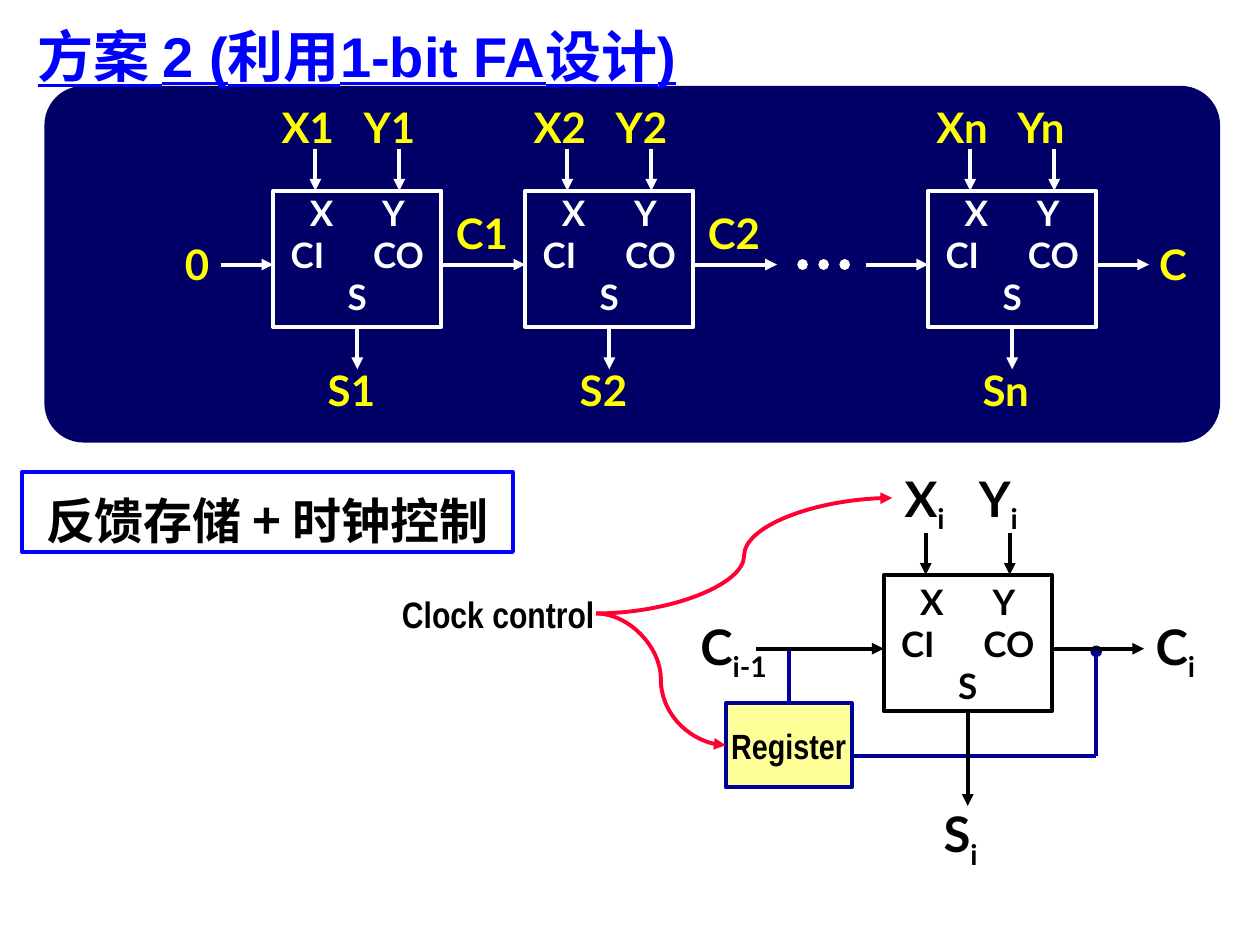
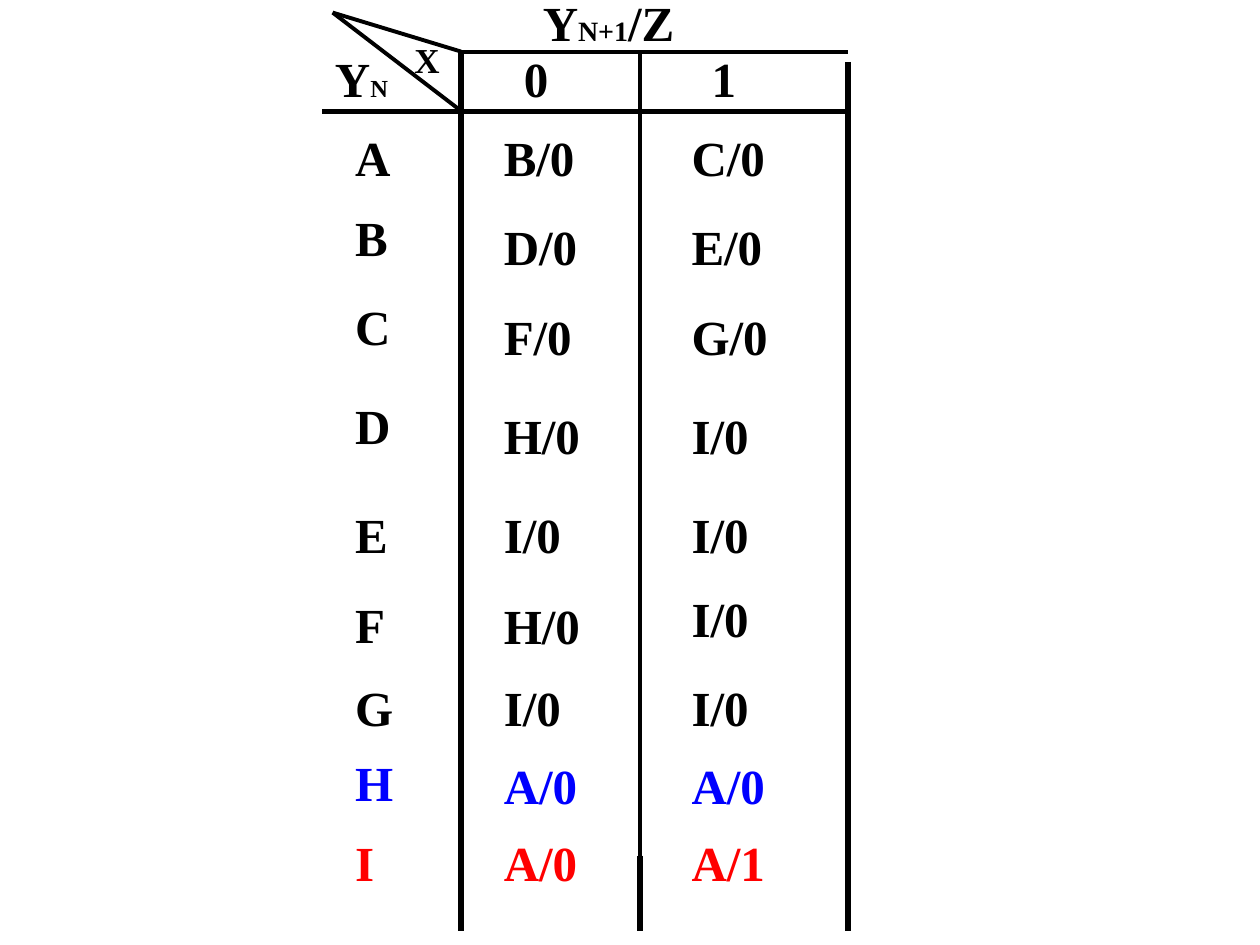
"""Builds two slides: an iterative adder circuit and its state table."""
from lxml import etree
from pptx import Presentation
from pptx.dml import color
from pptx.enum import dml, shapes, text as tx
from pptx.oxml import ns
from pptx.util import Pt

BLACK, WHITE, YELLOW, BLUE, RED = "000000", "FFFFFF", "FFFF00", "0000FF", "FF0000"
NAVY, WIRE, CLOCK, PALE = "000066", "000099", "FF0033", "FFFF99"
SANS, NARROW, SERIF, CJK = "Lato", "Arial Narrow", "Times New Roman", "Noto Sans CJK JP"
SPACE_WIDTH = 0.23

TITLE = "方案 2 (利用1-bit FA设计)"
FEEDBACK = "反馈存储 + 时钟控制"
SUB = {"baseline": -25000}


def gap(spaces):
    return " ", {"spaces": spaces}


PINS = [["X", gap(6), "Y"], ["CI", gap(6), "CO"], ["S"]]
ADDER_W, ADDER_H, CARRY_DROP, INPUT_RISE = 96, 78, 42.2, 24
STAGES = [("1", 156.2), ("2", 300.2), ("n", 530.4)]
STAGE_TOP, STAGE_SUM = 109, 24
CARRY_ARROWS = [(126, 156.2), (252.2, 300.2), (396.2, 444), (494.6, 530.4), (626.4, 656.6)]
CARRY_LABELS = [("0", 98.6, 133), ("C1", 253.4, 115.2), ("C2", 397.4, 115.2),
                ("C", 655.2, 133)]
SERIAL_LEFT, SERIAL_TOP, SERIAL_SUM = 505, 328.5, 54
SERIAL_LABELS = [
    (["C", ("i-1", SUB)], 393.1, 348.5, 62),
    (["C", ("i", SUB)], 653.3, 348.5, 42),
    (["S", ("i", SUB)], 532.1, 455.8, 42),
    (["X", ("i", SUB), gap(3), "Y", ("i", SUB)], 509.8, 264.2, 90),
]

COLUMNS = [195.8, 280.8, 388.1]
ROWS = [
    (("A", "B/0", "C/0"), (69.3, 69.3, 69.3), BLACK),
    (("B", "D/0", "E/0"), (114.8, 120.2, 120.2), BLACK),
    (("C", "F/0", "G/0"), (165.8, 171.4, 171.4), BLACK),
    (("D", "H/0", "I/0"), (222.5, 228.2, 228.2), BLACK),
    (("E", "I/0", "I/0"), (285, 285, 285), BLACK),
    (("F", "H/0", "I/0"), (336.3, 337, 332.5), BLACK),
    (("G", "I/0", "I/0"), (383.8, 383.8, 383.8), BLACK),
    (("H", "A/0", "A/0"), (426.5, 428.4, 428.4), BLUE),
    (("I", "A/0", "A/1"), (472, 472, 472), RED),
]
HEADINGS = [
    (["Y", ("N", {"size": 14})], 184.3, 24, 48, 28),
    (["0"], 292.3, 24, 32, 28),
    (["1"], 399.6, 24, 32, 28),
    (["X"], 229.7, 18.7, 32, 20),
    (["Y", ("N+1", {"size": 16}), "/Z"], 303.1, -7.8, 96.5, 28),
]
RULES = [
    (263.5, 29.5, 484.6, 29.5, 2.25), (190.1, 7.2, 263.5, 63.4, 2.25),
    (190.1, 7.2, 263.5, 29.5, 2.25), (365.8, 29.5, 365.8, 488.9, 2.25),
    (263.5, 488.9, 263.5, 532.1, 3), (365.8, 488.9, 365.8, 532.1, 3),
    (484.6, 488.9, 484.6, 532.1, 3), (263.5, 29.5, 263.5, 500.4, 3),
    (484.6, 35.3, 484.6, 506.2, 3), (184.3, 63.6, 484.6, 63.6, 3),
]


def rgb(value):
    return color.RGBColor.from_string(value)


def write(shape, lines, size=24, font=SANS, ink=BLACK, align="LEFT", anchor="TOP",
          inset=(7.2, 3.6), spacing=None, underline=None, wrap=False):
    frame = shape.text_frame
    frame.word_wrap = wrap
    frame.vertical_anchor = tx.MSO_ANCHOR[anchor]
    frame.margin_left = frame.margin_right = Pt(inset[0])
    frame.margin_top = frame.margin_bottom = Pt(inset[1])
    for number, line in enumerate(lines):
        paragraph = frame.add_paragraph() if number else frame.paragraphs[0]
        paragraph.alignment = tx.PP_ALIGN[align]
        if spacing and not number:
            paragraph.line_spacing = spacing
        for part in line:
            words, extra = (part, {}) if isinstance(part, str) else part
            run = paragraph.add_run()
            run.text = words
            run.font.size = Pt(extra.get("size", size))
            run.font.bold, run.font.underline = True, underline
            run.font.color.rgb = rgb(ink)
            run.font.name = font
            props = run.font._element
            etree.SubElement(props, ns.qn("a:ea")).set("typeface", CJK)
            if "baseline" in extra:
                props.set("baseline", str(extra["baseline"]))
            if "spaces" in extra:
                stretch = (extra["spaces"] - 1) * SPACE_WIDTH * size
                props.set("spc", str(round(stretch * 100)))
    return shape


def label(slide, line, left, top, width, height=36, **style):
    box = slide.shapes.add_textbox(Pt(left), Pt(top), Pt(width), Pt(height))
    return write(box, [line], **style)


def block(slide, left, top, width, height, fill=None, edge=None, kind="RECTANGLE"):
    shape = slide.shapes.add_shape(shapes.MSO_SHAPE[kind], Pt(left), Pt(top),
                                   Pt(width), Pt(height))
    shape.shadow.inherit = False
    if fill:
        shape.fill.solid()
        shape.fill.fore_color.rgb = rgb(fill)
    else:
        shape.fill.background()
    if edge:
        shape.line.color.rgb = rgb(edge)
        shape.line.width = Pt(2.25)
    else:
        shape.line.fill.background()
    return shape


def wire(slide, x1, y1, x2, y2, ink=BLACK, width=2.25, head=None, tail=None,
         dots=False, start=None, end=None, kind="STRAIGHT"):
    line = slide.shapes.add_connector(shapes.MSO_CONNECTOR[kind],
                                      Pt(x1), Pt(y1), Pt(x2), Pt(y2))
    if start:
        line.begin_connect(*start)
    if end:
        line.end_connect(*end)
    line.line.color.rgb = rgb(ink)
    line.line.width = Pt(width)
    props = line.element.spPr
    stroke = props.find(ns.qn("a:ln"))
    if dots:
        line.line.dash_style = dml.MSO_LINE.ROUND_DOT
        stroke.set("cap", "rnd")
    for tag, mark in (("a:headEnd", head), ("a:tailEnd", tail)):
        if mark:
            etree.SubElement(stroke, ns.qn(tag)).set("type", mark)
    etree.SubElement(props, ns.qn("a:effectLst"))
    return line


def arrow(slide, *ends, **style):
    return wire(slide, *ends, tail="triangle", **style)


def adder(slide, left, top, sum_length, ink, spacing=None):
    body = block(slide, left, top, ADDER_W, ADDER_H, edge=ink)
    write(body, PINS, size=20, ink=ink, align="CENTER", inset=(4.3, 0.7), spacing=spacing)
    for offset in (ADDER_W / 4, ADDER_W * 3 / 4):
        arrow(slide, left + offset, top - INPUT_RISE, left + offset, top, ink=ink)
    middle, bottom = left + ADDER_W / 2, top + ADDER_H
    arrow(slide, middle, bottom, middle, bottom + sum_length, ink=ink, start=(body, 2))


def parallel_adder(slide):
    panel = block(slide, 25.4, 49.1, 671.8, 203.8, fill=NAVY, kind="ROUNDED_RECTANGLE")
    panel.adjustments[0] = 0.11
    carry_y = STAGE_TOP + CARRY_DROP
    for index, left in STAGES:
        adder(slide, left, STAGE_TOP, STAGE_SUM, WHITE)
        label(slide, ["X" + index, gap(3), "Y" + index], left - 2.4, 54.7, 101, ink=YELLOW)
        label(slide, ["S" + index], left + 24, 205, 48, ink=YELLOW)
    for begin, end in CARRY_ARROWS:
        arrow(slide, begin, carry_y, end, carry_y, ink=WHITE)
    for name, left, top in CARRY_LABELS:
        label(slide, [name], left, top, 18 + 14 * len(name), ink=YELLOW)
    wire(slide, 458.6, carry_y, 488.2, carry_y, ink=WHITE, width=6, dots=True)


def serial_adder(slide):
    carry_y = SERIAL_TOP + CARRY_DROP
    wire(slide, 626.4, 372.2, 626.4, 432, ink=WIRE, head="oval")
    wire(slide, 626.4, 432, 470.2, 432, ink=WIRE)
    register = block(slide, 414.7, 401.8, 72, 48.2, fill=PALE, edge=WIRE)
    write(register, [["Register"]], size=20, font=NARROW, align="CENTER", anchor="MIDDLE")
    wire(slide, 450.7, 401.8, 450.7, 372.2, ink=WIRE, start=(register, 0))
    adder(slide, SERIAL_LEFT, SERIAL_TOP, SERIAL_SUM, BLACK, spacing=1.1)
    arrow(slide, 432, carry_y, SERIAL_LEFT, carry_y)
    arrow(slide, SERIAL_LEFT + ADDER_W, carry_y, 653.8, carry_y)
    for line, left, top, width in SERIAL_LABELS:
        label(slide, line, left, top, width, 41, size=28)
    clock = label(slide, ["Clock control"], 229.7, 334.4, 110.9, 32.4, size=21,
                  font=NARROW, inset=(0, 3.6))
    arrow(slide, 340.6, 350.6, 509.8, 284.6, ink=CLOCK, kind="CURVE", start=(clock, 3))
    arrow(slide, 340.6, 350.6, 414.7, 425.9, ink=CLOCK, kind="CURVE",
          start=(clock, 3), end=(register, 1))


def circuit_slide(slide):
    serial_adder(slide)
    feedback = block(slide, 12.4, 270, 280.8, 45.4, edge=BLUE)
    write(feedback, [[FEEDBACK]], size=28, font=CJK, align="CENTER", spacing=1.2)
    parallel_adder(slide)
    label(slide, [TITLE], 14.4, 8.6, 473.8, 46, size=32, font="Arial", ink=BLUE,
          underline=True, wrap=True)


def state_slide(slide):
    for x1, y1, x2, y2, width in RULES:
        wire(slide, x1, y1, x2, y2, width=width)
    for line, left, top, width, size in HEADINGS:
        label(slide, line, left, top, width, 41, size=size, font=SERIF)
    for entries, tops, ink in ROWS:
        for entry, left, top in zip(entries, COLUMNS, tops):
            label(slide, [entry], left, top, 62 if "/" in entry else 40, 41,
                  size=28, font=SERIF, ink=ink)


def main():
    deck = Presentation()
    deck.slide_width, deck.slide_height = Pt(720), Pt(540)
    for draw in (circuit_slide, state_slide):
        draw(deck.slides.add_slide(deck.slide_layouts[6]))
    deck.save("out.pptx")


if __name__ == "__main__":
    main()
